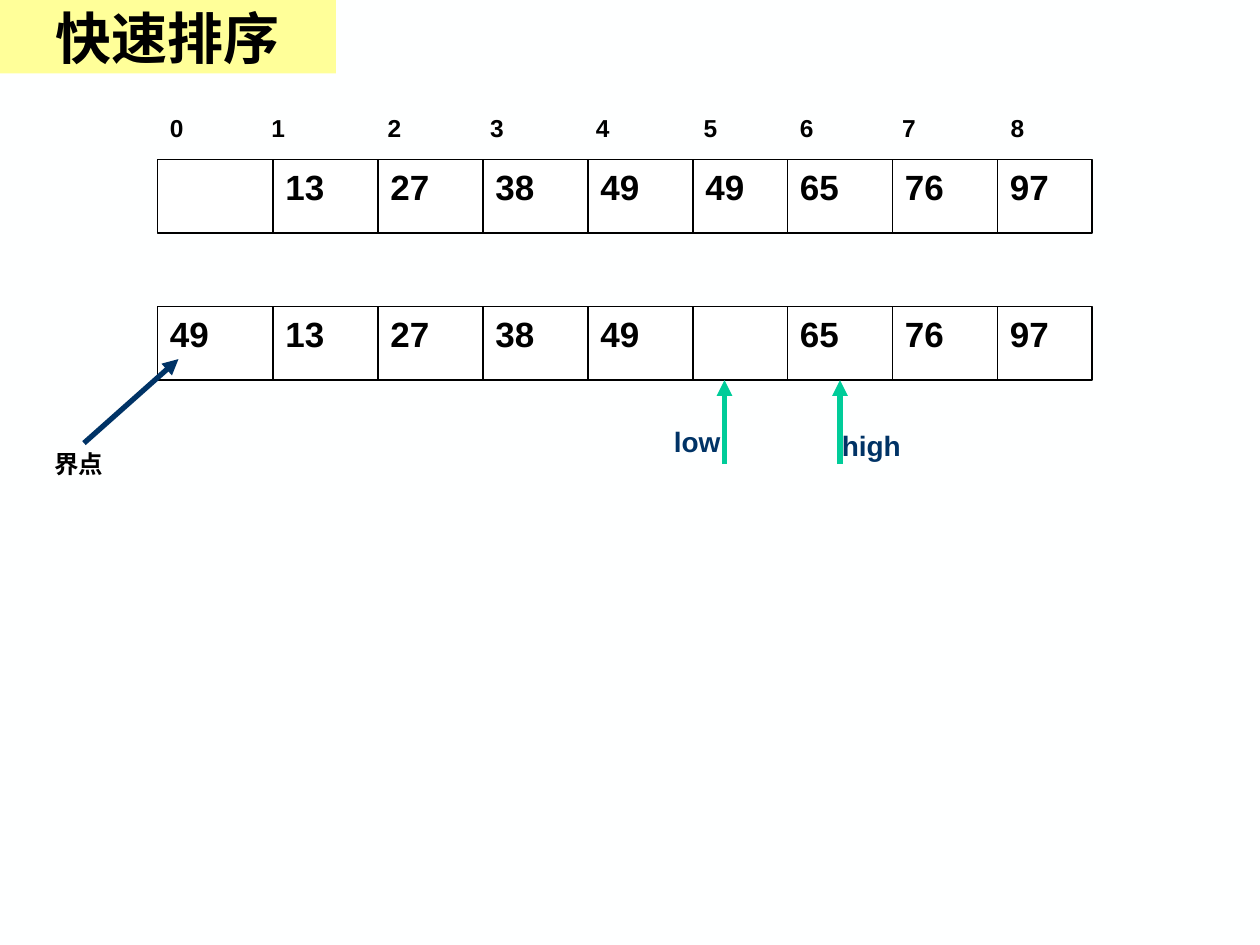
from lxml import etree
from pptx import Presentation
from pptx import util as u
from pptx.dml.color import RGBColor
from pptx.enum import shapes, text
from pptx.oxml.ns import qn

Pt = u.Pt
BLACK, WHITE, NAVY, GREEN = "000000", "FFFFFF", "003366", "00CC99"


def color(hex_string):
    return RGBColor.from_string(hex_string)


def add_text(parent, words, left, top, width, height, size=20, ink=BLACK,
             font="Arial", fill=None, tabs=(), centered=False):
    """Add bold text, in a filled rectangle if fill is given, else in a text box."""
    place = Pt(left), Pt(top), Pt(width), Pt(height)
    if fill:
        box = parent.add_shape(shapes.MSO_SHAPE.RECTANGLE, *place)
        box.shadow.inherit = False
        box.fill.solid()
        box.fill.fore_color.rgb = color(fill)
        box.line.fill.background()
    else:
        box = parent.add_textbox(*place)
    frame = box.text_frame
    frame.word_wrap = True
    frame.vertical_anchor = text.MSO_ANCHOR.MIDDLE if centered else text.MSO_ANCHOR.TOP
    para = frame.paragraphs[0]
    para.alignment = text.PP_ALIGN.CENTER if centered else text.PP_ALIGN.LEFT
    if tabs:
        stops = etree.SubElement(para._p.get_or_add_pPr(), qn("a:tabLst"))
        for stop in tabs:
            etree.SubElement(stops, qn("a:tab"), pos=str(Pt(stop)), algn="l")
    span = para.add_run()
    span.text = words
    span.font.name = font
    span.font.size = Pt(size)
    span.font.bold = True
    span.font.color.rgb = color(ink)


def add_line(parent, start, end, ink=BLACK, weight=0.75, arrow=False):
    line = parent.add_connector(shapes.MSO_CONNECTOR.STRAIGHT,
                                Pt(start[0]), Pt(start[1]), Pt(end[0]), Pt(end[1]))
    line.line.color.rgb = color(ink)
    line.line.width = Pt(weight)
    if arrow:
        etree.SubElement(line.line._get_or_add_ln(), qn("a:tailEnd"), type="triangle")
    etree.SubElement(line._element.spPr, qn("a:effectLst"))


deck = Presentation()
deck.slide_width, deck.slide_height = Pt(720), Pt(540)
page = deck.slides.add_slide(deck.slide_layouts[6])
page.background.fill.solid()
page.background.fill.fore_color.rgb = color("FEFFFF")

# Array rows: the left edge of each cell, then the right end of the row
edges = [90, 156, 216, 276, 336, 396, 450, 510, 570, 624]
row_height = 42
rows = [
    (91.2, ["", "13", "27", "38", "49", "49", "65", "76", "97"]),
    (175.2, ["49", "13", "27", "38", "49", "", "65", "76", "97"]),
]
for top, values in rows:
    row = page.shapes.add_group_shape().shapes
    frame = row.add_shape(shapes.MSO_SHAPE.RECTANGLE, Pt(edges[0]), Pt(top),
                          Pt(edges[-1] - edges[0]), Pt(row_height))
    frame.shadow.inherit = False
    frame.fill.solid()
    frame.fill.fore_color.rgb = color(WHITE)
    frame.line.color.rgb = color(BLACK)
    frame.line.width = Pt(0.75)
    for edge in edges[1:-1]:
        add_line(row, (edge, top), (edge, top + row_height))
    for left, value in zip(edges, values):
        if value:
            add_text(page.shapes, value, left, top, 48, 31.5)

# Array indices
add_text(page.shapes, "\t".join(str(index) for index in range(9)), 90, 61.2, 534, 24.5,
         size=14, tabs=[58, 124.5, 183, 243.5, 305, 360, 418.5, 480.5])

# Low and high pointers under the second row
row_bottom = rows[1][0] + row_height
for name, arrow_x, label_left, label_top in [("high", 480, 474, 241.2),
                                             ("low", 414, 378, 239)]:
    pointer = page.shapes.add_group_shape().shapes
    add_line(pointer, (arrow_x, row_bottom + 48), (arrow_x, row_bottom),
             ink=GREEN, weight=3, arrow=True)
    add_text(pointer, name, label_left, label_top, 66, 26.5, size=16, ink=NAVY)

# Pivot
add_text(page.shapes, "界点", 24, 253.2, 60, 24.5, size=14)
add_line(page.shapes, (48, 253.2), (102, 205.2), ink=NAVY, weight=3, arrow=True)

# Title
add_text(page.shapes, "快速排序", 0, 0, 192, 42, size=32, font="Times New Roman",
         fill="FFFF99", centered=True)

deck.save("out.pptx")
